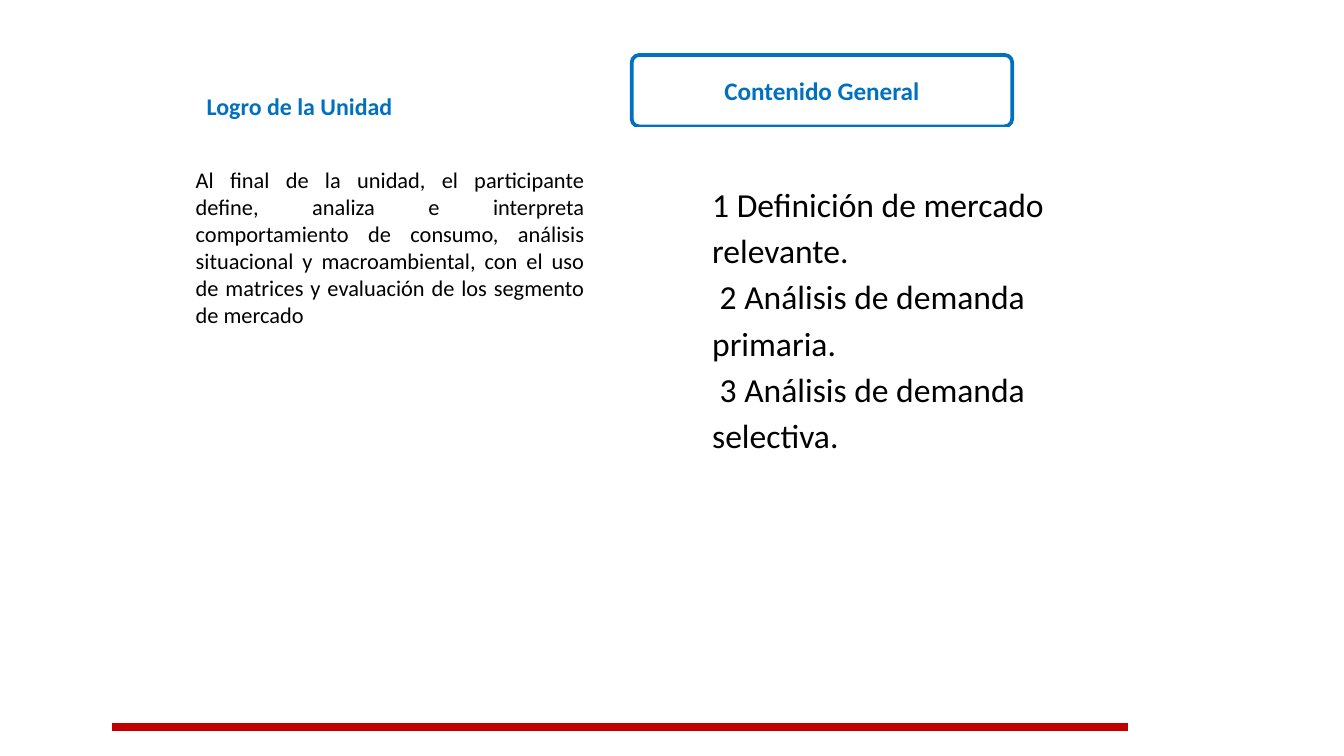
from lxml.etree import SubElement
from pptx import Presentation
from pptx.dml.color import RGBColor
from pptx.enum.shapes import MSO_CONNECTOR, MSO_SHAPE
from pptx.enum.text import MSO_ANCHOR, MSO_AUTO_SIZE, PP_ALIGN
from pptx.oxml.ns import qn
from pptx.util import Cm, Pt

BLUE, BLACK, WHITE, RED = "0070C0", "000000", "FFFFFF", "C00000"

TITLE = {
    "box": (3.45, 0.33, 6.4, 2.08), "lines": ["Logro de la Unidad"],
    "size": 12.8, "color": BLUE, "bold": True, "indent": 0.2,
    "anchor": MSO_ANCHOR.BOTTOM, "para": {"alignment": PP_ALIGN.LEFT},
}
PANELS = [
    {
        "kind": MSO_SHAPE.ROUNDED_RECTANGLE, "box": (11.94, 1.04, 7.19, 1.35),
        "lines": ["Contenido General"], "line": BLUE, "corner": 0.105,
        "size": 13.5, "color": BLUE, "bold": True,
        "anchor": MSO_ANCHOR.MIDDLE, "para": {"alignment": PP_ALIGN.CENTER},
    },
    {
        "kind": MSO_SHAPE.RECTANGLE, "box": (3.45, 3.02, 7.85, 5.05),
        "lines": [
            "Al final de la unidad, el participante define, analiza e interpreta "
            "comportamiento de consumo, análisis situacional y macroambiental, "
            "con el uso de matrices y evaluación de los segmento de mercado"
        ],
        "fill": WHITE, "size": 12, "color": BLACK,
        "anchor": MSO_ANCHOR.TOP, "para": {"alignment": PP_ALIGN.JUSTIFY},
    },
    {
        "kind": MSO_SHAPE.RECTANGLE, "box": (11.94, 2.44, 8.84, 7.09),
        "lines": [
            "1 Definición de mercado relevante.",
            " 2 Análisis de demanda primaria.",
            " 3 Análisis de demanda selectiva.",
        ],
        "fill": WHITE, "line": WHITE, "size": 18, "color": BLACK, "indent": 1.27,
        "anchor": MSO_ANCHOR.MIDDLE,
        "para": {"alignment": PP_ALIGN.LEFT, "level": 1, "line_spacing": 1.15},
    },
]
RULE = {"left": 2.11, "right": 21.31, "y": 13.74, "width": 4.5}


def rgb(color):
    return RGBColor.from_string(color)


def set_attrs(target, values):
    for name, value in values.items():
        setattr(target, name, value)


def write(sp, item):
    tf = sp.text_frame
    set_attrs(tf, {"word_wrap": True, "auto_size": MSO_AUTO_SIZE.NONE,
                   "vertical_anchor": item["anchor"]})
    for i, text in enumerate(item["lines"]):
        p = tf.add_paragraph() if i else tf.paragraphs[0]
        set_attrs(p, item["para"])
        pPr = p._p.get_or_add_pPr()
        pPr.set("marL", str(Cm(item.get("indent", 0))))
        pPr.set("indent", "0")
        r = p.add_run()
        r.text = text
        set_attrs(r.font, {"name": "Calibri", "size": Pt(item["size"]),
                           "bold": item.get("bold", False)})
        r.font.color.rgb = rgb(item["color"])


def add_panel(s, item):
    sp = s.shapes.add_shape(item["kind"], *map(Cm, item["box"]))
    sp.shadow.inherit = False
    if "corner" in item:
        sp.adjustments[0] = item["corner"]
    if "fill" in item:
        sp.fill.solid()
        sp.fill.fore_color.rgb = rgb(item["fill"])
    else:
        sp.fill.background()
    if "line" in item:
        sp.line.color.rgb = rgb(item["line"])
        sp.line.width = Pt(2)
    else:
        sp.line.fill.background()
    write(sp, item)


def add_rule(s):
    left, right, y = (Cm(RULE[k]) for k in ("left", "right", "y"))
    rule = s.shapes.add_connector(MSO_CONNECTOR.STRAIGHT, left, y, right, y)
    rule.line.color.rgb = rgb(RED)
    rule.line.width = Pt(RULE["width"])
    SubElement(rule._element.spPr, qn("a:effectLst"))


def main():
    prs = Presentation()
    prs.slide_width, prs.slide_height = Cm(25.4), Cm(14.29)
    s = prs.slides.add_slide(prs.slide_layouts[5])
    title = s.shapes.title
    set_attrs(title, dict(zip(("left", "top", "width", "height"), map(Cm, TITLE["box"]))))
    write(title, TITLE)
    for item in PANELS:
        add_panel(s, item)
    add_rule(s)
    prs.save("out.pptx")


if __name__ == "__main__":
    main()
